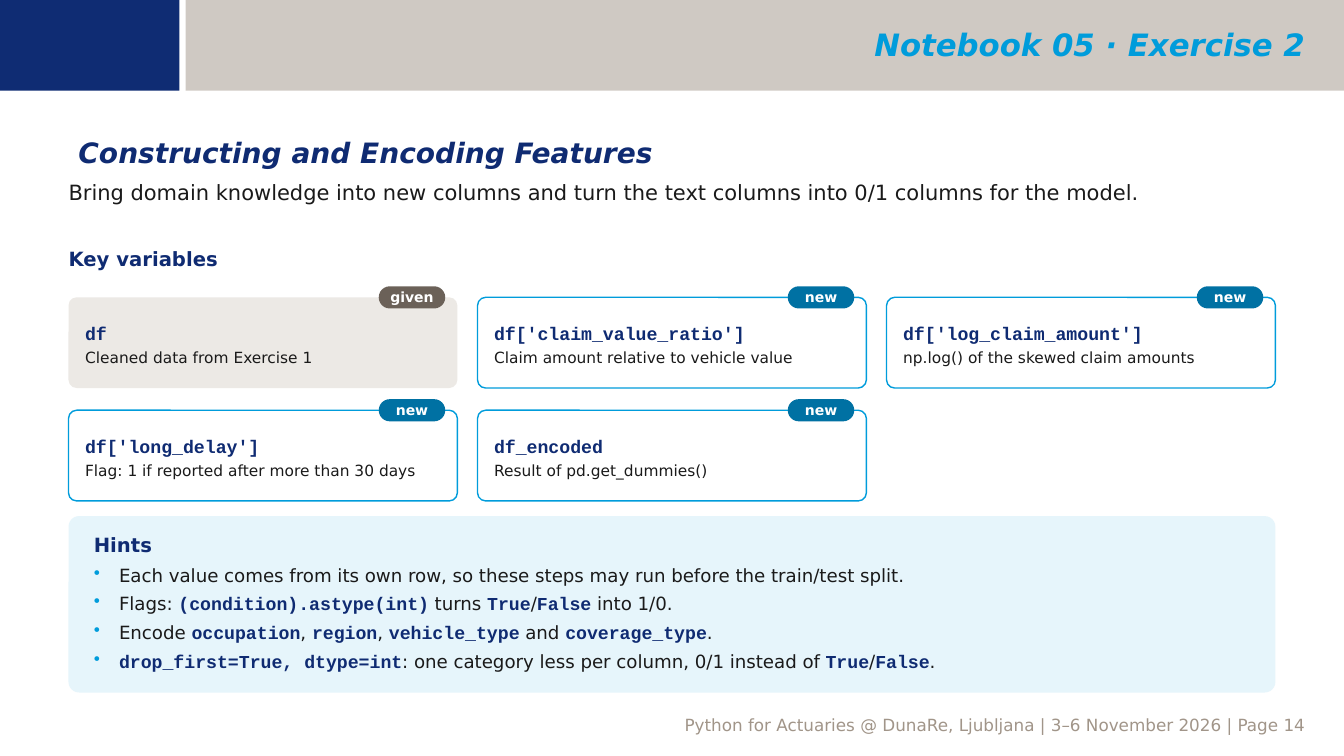
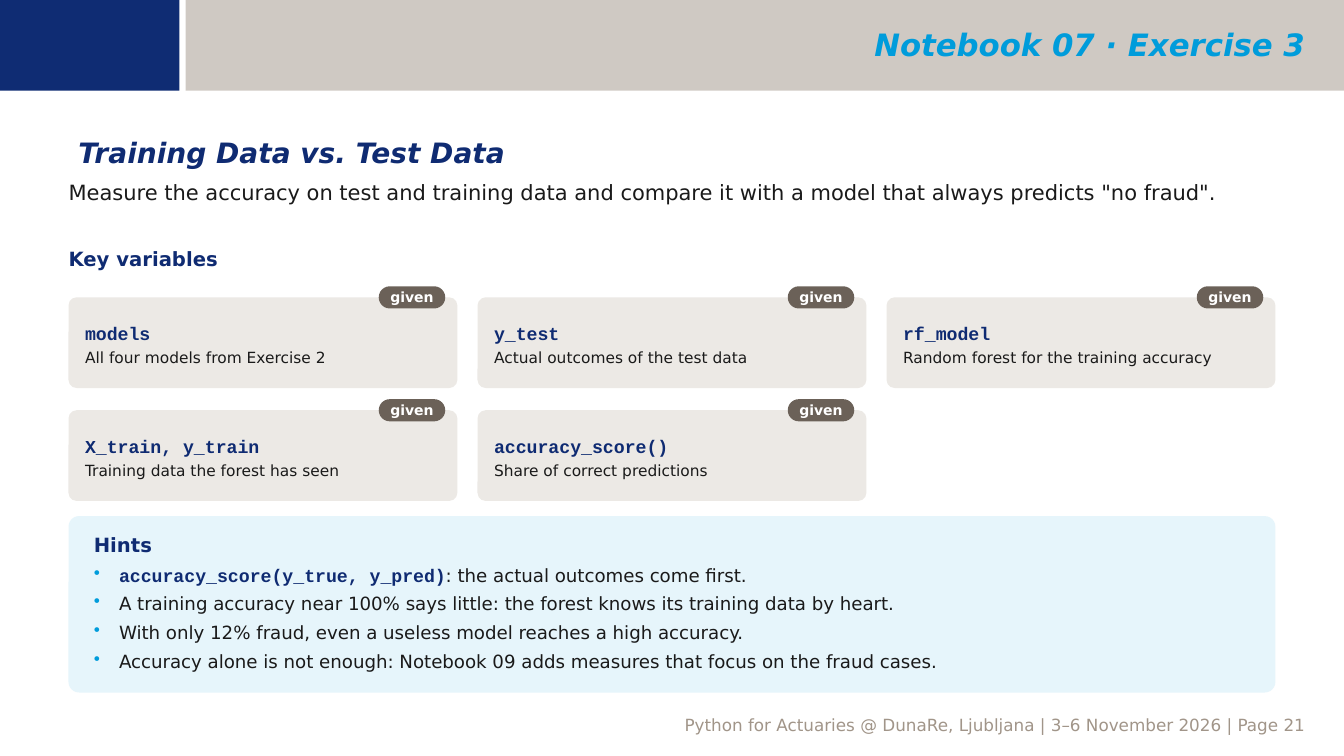
from lxml.etree import SubElement
from pptx import Presentation
from pptx.dml.color import RGBColor
from pptx.enum.shapes import MSO_SHAPE
from pptx.enum.text import MSO_ANCHOR, PP_ALIGN
from pptx.oxml.ns import qn
from pptx.util import Inches, Pt

NAVY = RGBColor(0x0F, 0x2B, 0x72)
BLOCK_NAVY = RGBColor(0x0F, 0x2C, 0x73)
SKY = RGBColor(0x00, 0x9C, 0xDB)
TEAL = RGBColor(0x00, 0x71, 0xA3)
STONE = RGBColor(0xA1, 0x95, 0x89)
BROWN = RGBColor(0x6B, 0x61, 0x58)
SAND = RGBColor(0xEC, 0xE9, 0xE5)
ICE = RGBColor(0xE6, 0xF5, 0xFB)
INK = RGBColor(0x1A, 0x1A, 0x1A)
WHITE = RGBColor(0xFF, 0xFF, 0xFF)

SANS = "DejaVu Sans"
MONO = "Courier New"
FOOTER = "Python for Actuaries @ DunaRe, Ljubljana | 3–6 November 2026 | Page {}"

EXERCISES = [
    {
        "header": "Notebook 05 · Exercise 2",
        "page": 14,
        "title": "Constructing and Encoding Features",
        "task": "Bring domain knowledge into new columns and turn the text columns into 0/1 columns for the model.",
        "variables": [
            ("df", "Cleaned data from Exercise 1", "given"),
            ("df['claim_value_ratio']", "Claim amount relative to vehicle value", "new"),
            ("df['log_claim_amount']", "np.log() of the skewed claim amounts", "new"),
            ("df['long_delay']", "Flag: 1 if reported after more than 30 days", "new"),
            ("df_encoded", "Result of pd.get_dummies()", "new"),
        ],
        "hints": [
            "Each value comes from its own row, so these steps may run before the train/test split.",
            "Flags: `(condition).astype(int)` turns `True`/`False` into 1/0.",
            "Encode `occupation`, `region`, `vehicle_type` and `coverage_type`.",
            "`drop_first=True, dtype=int`: one category less per column, 0/1 instead of `True`/`False`.",
        ],
    },
    {
        "header": "Notebook 07 · Exercise 3",
        "page": 21,
        "title": "Training Data vs. Test Data",
        "task": 'Measure the accuracy on test and training data and compare it with a model that always predicts "no fraud".',
        "variables": [
            ("models", "All four models from Exercise 2", "given"),
            ("y_test", "Actual outcomes of the test data", "given"),
            ("rf_model", "Random forest for the training accuracy", "given"),
            ("X_train, y_train", "Training data the forest has seen", "given"),
            ("accuracy_score()", "Share of correct predictions", "given"),
        ],
        "hints": [
            "`accuracy_score(y_true, y_pred)`: the actual outcomes come first.",
            "A training accuracy near 100% says little: the forest knows its training data by heart.",
            "With only 12% fraud, even a useless model reaches a high accuracy.",
            "Accuracy alone is not enough: Notebook 09 adds measures that focus on the fraud cases.",
        ],
    },
]

CARD_STYLES = {"given": (SAND, None, BROWN), "new": (WHITE, SKY, TEAL)}

SLIDE_WIDTH, SLIDE_HEIGHT = 13.33, 7.5
BAND_HEIGHT = 0.12 * SLIDE_HEIGHT
BLOCK_WIDTH, BAND_LEFT = 1.78, 1.84
MARGIN = 0.68
CONTENT_WIDTH = SLIDE_WIDTH - 2 * MARGIN
COLUMNS, COLUMN_GAP, ROW_GAP = 3, 0.2, 0.22
CARD_WIDTH = (CONTENT_WIDTH - (COLUMNS - 1) * COLUMN_GAP) / COLUMNS
CARD_HEIGHT, CARDS_TOP = 0.9, 2.95
BADGE_WIDTH, BADGE_HEIGHT, BADGE_INSET = 0.66, 0.22, 0.12
DEFAULT_INSETS = (0.1, 0.05, 0.1, 0.05)
NO_INSETS = (0, 0, 0, 0)


def style_run(run, size, color, name=SANS, bold=False, italic=False):
    font = run.font
    font.size, font.name, font.bold, font.italic = Pt(size), name, bold, italic
    font.color.rgb = color


def write(paragraph, text, *style, align=PP_ALIGN.LEFT, **options):
    paragraph.text = text
    paragraph.alignment = align
    style_run(paragraph.runs[0], *style, **options)


def prepare_frame(shape, insets, anchor):
    frame = shape.text_frame
    frame.word_wrap = True
    frame.vertical_anchor = anchor
    frame.margin_left, frame.margin_top, frame.margin_right, frame.margin_bottom = map(Inches, insets)
    return frame


def add_label(slide, area, text, *style, insets=NO_INSETS, anchor=MSO_ANCHOR.TOP, **options):
    box = slide.shapes.add_textbox(*map(Inches, area))
    write(prepare_frame(box, insets, anchor).paragraphs[0], text, *style, **options)


def add_panel(slide, area, fill, line=None, radius=None):
    kind = MSO_SHAPE.RECTANGLE if radius is None else MSO_SHAPE.ROUNDED_RECTANGLE
    panel = slide.shapes.add_shape(kind, *map(Inches, area))
    panel.shadow.inherit = False
    panel.fill.solid()
    panel.fill.fore_color.rgb = fill
    if radius is not None:
        panel.adjustments[0] = radius
    if line is None:
        panel.line.fill.background()
    else:
        panel.line.color.rgb = line
        panel.line.width = Pt(1)
    return panel


def add_frame(slide, header, page):
    add_label(slide, (0.76, 7.05, 12.29, 0.09), FOOTER.format(page), 12, STONE,
              insets=DEFAULT_INSETS, align=PP_ALIGN.RIGHT)
    band = add_panel(slide, (BAND_LEFT, 0, SLIDE_WIDTH - BAND_LEFT, BAND_HEIGHT), STONE)
    band_color = next(band.element.iter(qn("a:srgbClr")))
    SubElement(band_color, qn("a:alpha"), val="50000")
    add_panel(slide, (0, 0, BLOCK_WIDTH, BAND_HEIGHT), BLOCK_NAVY)
    add_label(slide, (2.02, 0.02, 11.02, 0.84), header, 22, SKY, insets=DEFAULT_INSETS,
              anchor=MSO_ANCHOR.MIDDLE, align=PP_ALIGN.RIGHT, bold=True, italic=True)


def add_variable(slide, index, name, meaning, status):
    fill, line, badge_fill = CARD_STYLES[status]
    row, column = divmod(index, COLUMNS)
    left = MARGIN + column * (CARD_WIDTH + COLUMN_GAP)
    top = CARDS_TOP + row * (CARD_HEIGHT + ROW_GAP)
    card = add_panel(slide, (left, top, CARD_WIDTH, CARD_HEIGHT), fill, line, 0.09)
    frame = prepare_frame(card, (0.14, 0.1, 0.14, 0.06), MSO_ANCHOR.MIDDLE)
    write(frame.paragraphs[0], name, 13, NAVY, MONO, bold=True)
    description = frame.add_paragraph()
    write(description, meaning, 11, INK)
    description.space_before = Pt(3)

    badge_left = left + CARD_WIDTH - BADGE_INSET - BADGE_WIDTH
    badge_area = (badge_left, top - BADGE_HEIGHT / 2, BADGE_WIDTH, BADGE_HEIGHT)
    badge = add_panel(slide, badge_area, badge_fill, radius=0.5)
    badge_frame = prepare_frame(badge, NO_INSETS, MSO_ANCHOR.MIDDLE)
    write(badge_frame.paragraphs[0], status, 10, WHITE, align=PP_ALIGN.CENTER, bold=True)


def add_bullet(paragraph):
    properties = paragraph._p.get_or_add_pPr()
    properties.set("marL", str(Inches(0.25)))
    properties.set("indent", str(Inches(-0.25)))
    bullet_color = SubElement(properties, qn("a:buClr"))
    SubElement(bullet_color, qn("a:srgbClr"), val=str(SKY))
    SubElement(properties, qn("a:buChar"), char="•")


def add_hints(slide, hints):
    panel = add_panel(slide, (MARGIN, 5.12, CONTENT_WIDTH, 1.75), ICE, radius=0.06)
    frame = prepare_frame(panel, (0.22, 0.14, 0.22, 0.1), MSO_ANCHOR.TOP)
    write(frame.paragraphs[0], "Hints", 14, NAVY, bold=True)
    for hint in hints:
        paragraph = frame.add_paragraph()
        add_bullet(paragraph)
        paragraph.alignment = PP_ALIGN.LEFT
        paragraph.space_before = Pt(5)
        for position, text in enumerate(hint.split("`")):
            if text:
                run = paragraph.add_run()
                run.text = text
                is_code = position % 2 == 1
                style_run(run, 13, NAVY if is_code else INK, MONO if is_code else SANS, is_code)


def add_exercise(presentation, exercise):
    slide = presentation.slides.add_slide(presentation.slide_layouts[6])
    add_frame(slide, exercise["header"], exercise["page"])
    add_label(slide, (MARGIN, 1.3, CONTENT_WIDTH, 0.4), exercise["title"], 20, NAVY,
              insets=DEFAULT_INSETS, bold=True, italic=True)
    add_label(slide, (MARGIN, 1.78, CONTENT_WIDTH, 0.62), exercise["task"], 15, INK)
    add_label(slide, (MARGIN, 2.45, 6, 0.32), "Key variables", 14, NAVY, bold=True)
    for index, variable in enumerate(exercise["variables"]):
        add_variable(slide, index, *variable)
    add_hints(slide, exercise["hints"])


def main():
    presentation = Presentation()
    presentation.slide_width = Inches(SLIDE_WIDTH)
    presentation.slide_height = Inches(SLIDE_HEIGHT)
    for exercise in EXERCISES:
        add_exercise(presentation, exercise)
    presentation.save("out.pptx")


if __name__ == "__main__":
    main()
